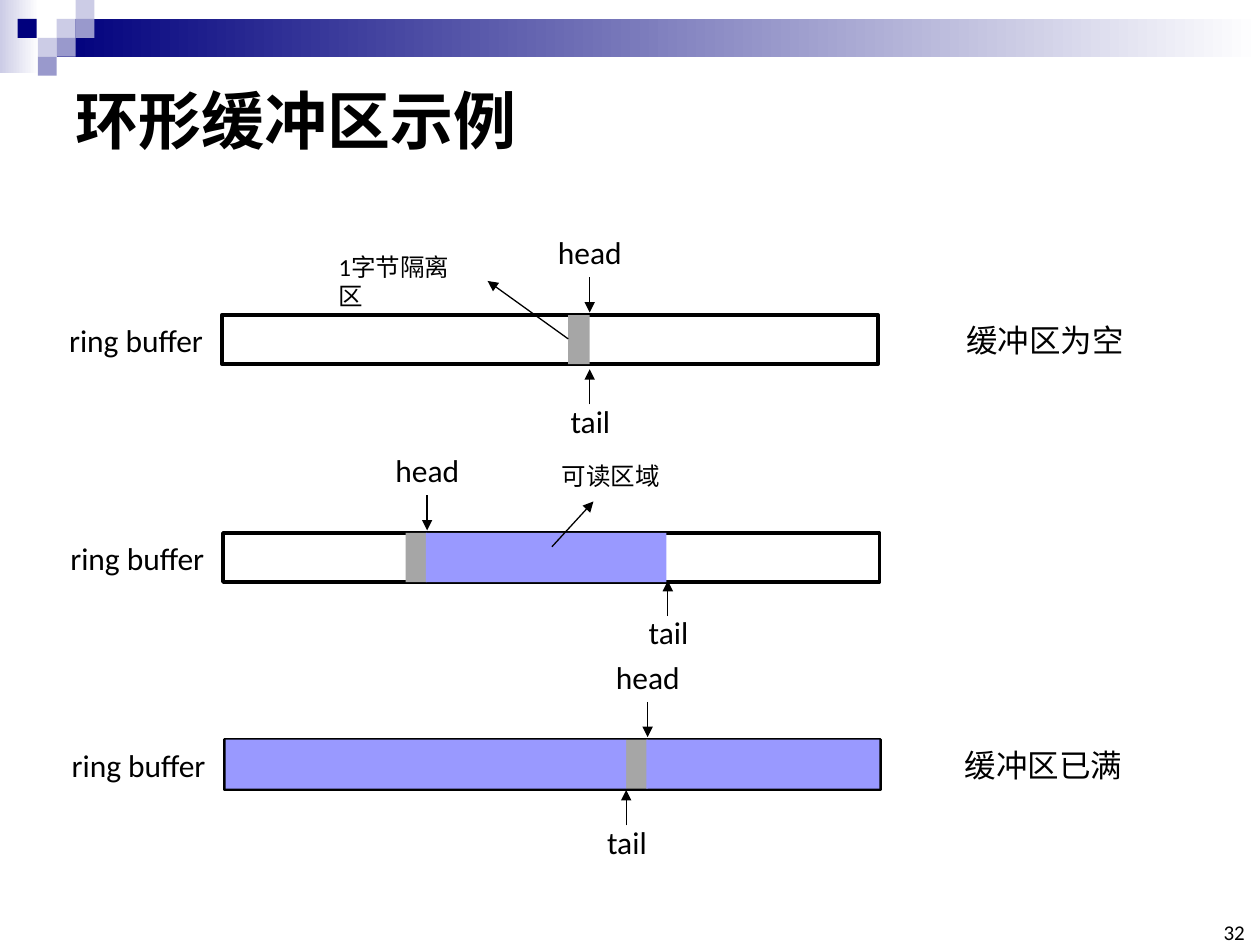
"""Build the ring buffer example slide."""
from lxml import etree
from pptx import Presentation
from pptx import util as u
from pptx.dml.color import RGBColor
from pptx.enum import shapes, text
from pptx.oxml.ns import qn

FONT = "Calibri"
BLACK = RGBColor(0, 0, 0)
WHITE = RGBColor(0xFF, 0xFF, 0xFF)
NAVY = RGBColor(0, 0, 0x7D)
PALE = RGBColor(0xCC, 0xCC, 0xE6)
LILAC = RGBColor(0x99, 0x99, 0xCC)
GRAY = RGBColor(0xA6, 0xA6, 0xA6)
READABLE = RGBColor(0x99, 0x99, 0xFF)

TITLE = "环形缓冲区示例"
PAGE = "32"
BANDS = [((0, 0, 0.31, 0.58), PALE), ((0.45, 0.15, 9.55, 0.3), NAVY)]
TILE = 0.15
TILES = [(0.45, 0.15, PALE), (0.6, 0, PALE), (0.6, 0.15, LILAC), (0.3, 0.3, PALE),
         (0.14, 0.15, NAVY), (0.45, 0.3, LILAC), (0.3, 0.45, LILAC)]

BAR_W, BAR_H, GAP_W = 5.21, 0.39, 0.17
BUFFERS = [
    {"left": 1.76, "top": 2.5, "head": 4.68, "tail": 4.68, "tail_drop": 0.43,
     "gap": 4.51, "readable": [], "state": ("缓冲区为空", 7.57),
     "note": ("1字节隔离区", (2.59, 1.95, 1.27, 0.34), True),
     "pointer": ((4.51, 2.69), (3.87, 2.23))},
    {"left": 1.77, "top": 4.23, "head": 3.39, "tail": 5.3, "tail_drop": 0.38,
     "gap": 3.22, "readable": [(3.38, 1.91)],
     "note": ("可读区域", (4.36, 3.61, 0.98, 0.34), False),
     "pointer": ((4.38, 4.34), (4.71, 3.98))},
    {"left": 1.78, "top": 5.87, "head": 5.14, "tail": 4.97, "tail_drop": 0.4,
     "gap": 4.97, "readable": [(5.13, 1.85), (1.79, 3.18)],
     "state": ("缓冲区已满", 7.56)},
]


def inches(values):
    return [u.Inches(v) for v in values]


def add_block(slide, box, color=None, fade=False, outline=False):
    block = slide.shapes.add_shape(shapes.MSO_SHAPE.RECTANGLE, *inches(box))
    block.shadow.inherit = False
    if fade:
        block.fill.gradient()
        block.fill.gradient_angle = 0
        for stop, shade, place in zip(block.fill.gradient_stops, (color, WHITE), (0, 1)):
            stop.color.rgb = shade
            stop.position = place
    elif color is None:
        block.fill.background()
    else:
        block.fill.solid()
        block.fill.fore_color.rgb = color
    if outline:
        block.line.color.rgb = BLACK
        block.line.width = u.Pt(2)
    else:
        block.line.fill.background()


def style(paragraph, size, bold=False):
    paragraph.font.name = FONT
    paragraph.font.size = u.Pt(size)
    paragraph.font.bold = bold
    paragraph.font.color.rgb = BLACK


def add_label(slide, words, box, size=18, wrap=False):
    frame = slide.shapes.add_textbox(*inches(box)).text_frame
    frame.word_wrap = wrap
    frame.text = words
    style(frame.paragraphs[0], size)
    return frame


def add_arrow(slide, start, end):
    arrow = slide.shapes.add_connector(shapes.MSO_CONNECTOR.STRAIGHT, *inches(start + end))
    arrow.line.color.rgb = BLACK
    arrow.line.width = u.Pt(0.75)
    etree.SubElement(arrow.line._get_or_add_ln(), qn("a:tailEnd"), type="triangle")
    etree.SubElement(arrow._element.spPr, qn("a:effectLst"))


def add_buffer(slide, buffer):
    left, top, head, tail = (buffer[key] for key in ("left", "top", "head", "tail"))
    tip = top + buffer["tail_drop"]
    add_block(slide, (left, top, BAR_W, BAR_H), outline=True)
    add_label(slide, "ring buffer", (left - 1.31, top, 1.27, 0.4))
    add_arrow(slide, (tail, tip + 0.28), (tail, tip))
    add_arrow(slide, (head, top - 0.3), (head, top - 0.02))
    add_label(slide, "tail", (tail - 0.25, tip + 0.21, 0.52, 0.4))
    add_label(slide, "head", (head - 0.35, top - 0.7, 0.71, 0.4))
    add_block(slide, (buffer["gap"], top, GAP_W, BAR_H), GRAY)
    for start, width in buffer["readable"]:
        add_block(slide, (start, top, width, BAR_H), READABLE)
    if "state" in buffer:
        state, state_left = buffer["state"]
        add_label(slide, state, (state_left, top, 1.45, 0.4))
    if "note" in buffer:
        note, box, wrap = buffer["note"]
        add_arrow(slide, *buffer["pointer"])
        add_label(slide, note, box, 14, wrap)


def main():
    deck = Presentation()
    deck.slide_width, deck.slide_height = inches((10, 7.5))
    slide = deck.slides.add_slide(deck.slide_layouts[5])
    for box, color in BANDS:
        add_block(slide, box, color, fade=True)
    for left, top, color in TILES:
        add_block(slide, (left, top, TILE, TILE), color)

    title = slide.shapes.title
    title.left, title.top, title.width, title.height = inches((0.5, 0.5, 9, 0.89))
    title.text_frame.text = TITLE
    title.text_frame.vertical_anchor = text.MSO_ANCHOR.MIDDLE
    heading = title.text_frame.paragraphs[0]
    heading.alignment = text.PP_ALIGN.LEFT
    style(heading, 36, bold=True)

    for buffer in BUFFERS:
        add_buffer(slide, buffer)

    page = add_label(slide, PAGE, (9.65, 7.33, 0.23, 0.17), 12, wrap=True)
    page.margin_left = page.margin_right = page.margin_top = page.margin_bottom = 0
    page.vertical_anchor = text.MSO_ANCHOR.BOTTOM
    page.paragraphs[0].alignment = text.PP_ALIGN.RIGHT
    deck.save("out.pptx")


if __name__ == "__main__":
    main()
